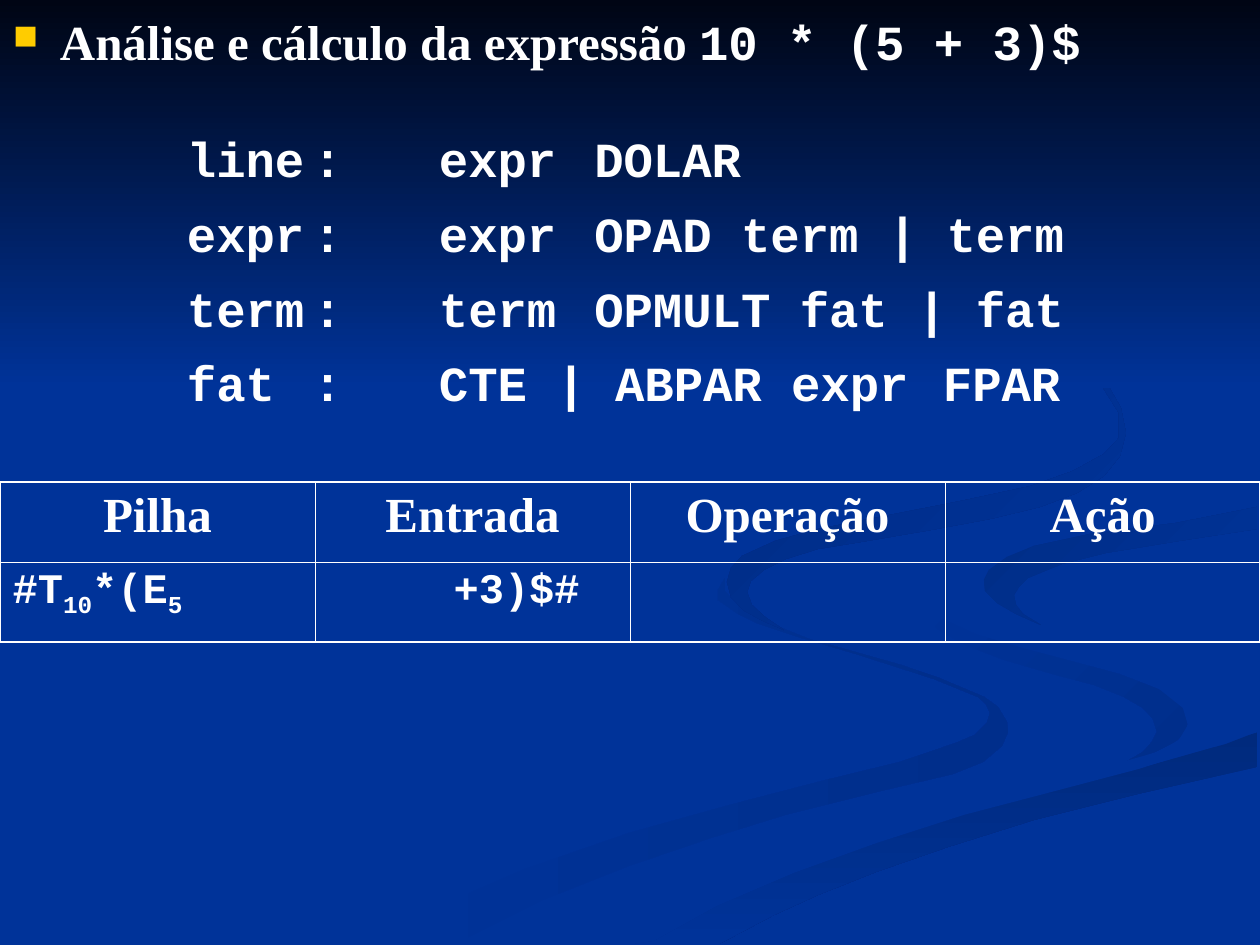
from lxml import etree
from pptx import Presentation
from pptx.dml.color import RGBColor
from pptx.enum.shapes import MSO_SHAPE as Preset
from pptx.enum.text import PP_ALIGN as Align
from pptx.oxml.ns import qn
from pptx.util import Pt

SCALE = 914400 / 126
WIDTH, HEIGHT = 1260, 945
BLUE, WHITE, YELLOW = "003399", "FFFFFF", "FFCC00"
SERIF, MONO = "Times New Roman", "Courier New"
THICK, THIN = 1.08, 0.45

LONG_RIBBON = [
    (984, 697), (939, 678), (901, 665), (809, 639), (774, 625), (748, 611), (734, 601),
    (725, 591), (725, 578), (718, 590), (718, 600), (738, 614), (759, 624), (795, 636),
    (856, 654), (934, 679), (978, 697), (986, 704), (990, 713), (987, 723), (975, 735),
    (956, 743), (900, 762), (822, 781), (730, 805), (629, 833), (525, 869), (474, 891),
    (426, 916), (378, 944), (455, 944), (543, 900), (629, 866), (711, 838), (785, 815),
    (881, 791), (953, 774), (983, 762), (1002, 746), (1008, 732), (1007, 722), (998, 707)]
RIGHT_RIBBON = [
    (1188, 718), (1183, 708), (1172, 697), (1158, 689), (1119, 674), (1022, 648),
    (975, 634), (939, 617), (924, 609), (916, 597), (912, 585), (916, 604), (924, 615),
    (939, 630), (965, 645), (1004, 660), (1056, 675), (1094, 685), (1124, 697),
    (1143, 708), (1153, 719), (1157, 732), (1152, 742), (1143, 752), (1126, 762),
    (1155, 752), (1175, 742), (1186, 732)]
BOTTOM_RIBBON = [
    (654, 941), (634, 944), (719, 944), (774, 915), (818, 895), (876, 872), (948, 847),
    (1034, 820), (1138, 794), (1257, 767), (1257, 732), (1226, 744), (1138, 769),
    (1047, 793), (963, 815), (877, 843), (794, 873), (717, 906)]
PLAIN_RIBBON = [
    (913, 585), (921, 603), (939, 617), (976, 634), (1023, 648), (1120, 673), (1159, 689),
    (1183, 708), (1188, 725), (1179, 740), (1158, 752), (1062, 779), (983, 799),
    (887, 825), (780, 862), (663, 912), (601, 944), (634, 944), (654, 941), (717, 906),
    (794, 873), (877, 843), (964, 815), (1048, 793), (1139, 769), (1230, 740),
    (1259, 732), (1259, 678), (1208, 669), (1139, 654), (1091, 641), (1048, 627),
    (1013, 611), (990, 596), (984, 583), (990, 571), (1008, 557), (1036, 547),
    (1090, 534), (1176, 523), (1259, 507), (1259, 488), (1212, 498), (1046, 518),
    (970, 532), (935, 553), (919, 566)]
EDGE_RIBBON = [
    (984, 580), (985, 591), (997, 603), (1016, 614), (1041, 625), (1023, 614),
    (1016, 605), (1014, 595), (1019, 587), (1028, 578), (1062, 564), (1106, 553),
    (1179, 541), (1257, 529), (1257, 507), (1176, 523), (1090, 534), (1034, 546),
    (1007, 557), (989, 570)]
TOP_RIBBON = [
    (861, 542), (931, 530), (990, 519), (1040, 507), (1077, 493), (1104, 476),
    (1120, 456), (1126, 433), (1121, 408), (1109, 387), (1089, 367), (1062, 347),
    (1007, 315), (960, 294), (1014, 320), (1066, 351), (1102, 386), (1119, 413),
    (1119, 438), (1104, 454), (1073, 471), (1031, 486), (961, 501), (818, 529),
    (775, 541), (742, 556), (731, 568), (727, 582), (731, 597), (743, 610), (761, 620),
    (784, 630), (765, 617), (752, 605), (747, 592), (751, 581), (764, 570), (786, 559),
    (818, 549)]

# Outline, start colour, end colour, clockwise angle
RIBBONS = [
    (LONG_RIBBON, BLUE, "002E8B", 0),
    (RIGHT_RIBBON, BLUE, "002E8B", 45),
    (BOTTOM_RIBBON, "002A7D", BLUE, 90),
    (PLAIN_RIBBON, BLUE, BLUE, 0),
    (EDGE_RIBBON, "002D86", BLUE, 45),
    (TOP_RIBBON, "002B82", BLUE, 45),
]
GRAMMAR = [
    "line\t:\texpr\t DOLAR",
    "expr\t:\texpr\t OPAD term | term",
    "term\t:\tterm\t OPMULT fat | fat",
    "fat\t:\tCTE | ABPAR expr\tFPAR",
]
HEADERS = ["Pilha", "Entrada", "Operação", "Ação"]
STACK = [("#T", False), ("10", True), ("*(E", False), ("5", True)]


def px(length):
    return round(length * SCALE)


def color(value):
    return RGBColor.from_string(value)


def style(font, name, size=28):
    font.name, font.size, font.bold = name, Pt(size), True
    font.color.rgb = color(WHITE)


def paint(shape, start, end, angle):
    """Fill without outline; the angle runs clockwise."""
    shape.shadow.inherit = False
    shape.line.fill.background()
    if start == end:
        shape.fill.solid()
        shape.fill.fore_color.rgb = color(start)
        return
    shape.fill.gradient()
    shape.fill.gradient_angle = (360 - angle) % 360
    for stop, value in zip(shape.fill.gradient_stops, (start, end)):
        stop.color.rgb = color(value)


def add_background(slide):
    slide.background.fill.solid()
    slide.background.fill.fore_color.rgb = color(BLUE)
    for points, start, end, angle in RIBBONS:
        builder = slide.shapes.build_freeform(*points[0], scale=SCALE)
        builder.add_line_segments(points[1:], close=True)
        paint(builder.convert_to_shape(), start, end, angle)
    band = slide.shapes.add_shape(Preset.RECTANGLE, 0, 0, px(WIDTH), px(388))
    paint(band, "000514", BLUE, 90)


def add_text_frame(slide, left, top, width, height):
    box = slide.shapes.add_textbox(px(left), px(top), px(width), px(height))
    frame = box.text_frame
    frame.word_wrap = True
    frame.margin_left = frame.margin_right = frame.margin_top = frame.margin_bottom = 0
    return frame


def add_heading(slide):
    paragraph = add_text_frame(slide, 13, 12, 1234, 60).paragraphs[0]
    properties = paragraph._p.get_or_add_pPr()
    properties.set("marL", str(px(47)))
    properties.set("indent", str(-px(47)))
    bullet_color = etree.SubElement(properties, qn("a:buClr"))
    etree.SubElement(bullet_color, qn("a:srgbClr"), val=YELLOW)
    etree.SubElement(properties, qn("a:buSzPct"), val="70000")
    etree.SubElement(properties, qn("a:buChar"), char="■")
    for text, name in (("Análise e cálculo da expressão ", SERIF), ("10 * (5 + 3)$", MONO)):
        run = paragraph.add_run()
        run.text = text
        style(run.font, name)


def add_grammar(slide):
    frame = add_text_frame(slide, 187, 129, 1060, 285)
    for index, rule in enumerate(GRAMMAR):
        paragraph = frame.add_paragraph() if index else frame.paragraphs[0]
        paragraph.text = rule
        tabs = etree.SubElement(paragraph._p.get_or_add_pPr(), qn("a:tabLst"))
        for stop in range(1, 8):
            etree.SubElement(tabs, qn("a:tab"), pos=str(px(126 * stop)), algn="l")
        if index:
            paragraph.space_before = Pt(9)
        style(paragraph.font, MONO)


def set_borders(cell, **widths):
    """Draw white borders; the keys are L, R, T and B, the widths points."""
    properties = cell._tc.get_or_add_tcPr()
    for position, side in enumerate("LRTB"):
        line = etree.Element(qn(f"a:ln{side}"), w=str(Pt(widths[side])))
        fill = etree.SubElement(line, qn("a:solidFill"))
        etree.SubElement(fill, qn("a:srgbClr"), val=WHITE)
        properties.insert(position, line)


def add_parse_table(slide):
    rows, columns = 2, len(HEADERS)
    frame = slide.shapes.add_table(rows, columns, 0, px(482), px(WIDTH), px(160))
    table = frame.table
    table.first_row = table.horz_banding = False
    for row in range(rows):
        for column in range(columns):
            cell = table.cell(row, column)
            cell.fill.background()
            set_borders(cell,
                        L=THIN if column else THICK,
                        R=THICK if column == columns - 1 else THIN,
                        T=THIN if row else THICK,
                        B=THICK if row == rows - 1 else THIN)
    for column, header in enumerate(HEADERS):
        paragraph = table.cell(0, column).text_frame.paragraphs[0]
        paragraph.text = header
        paragraph.alignment = Align.CENTER
        style(paragraph.font, SERIF)

    stack = table.cell(1, 0).text_frame.paragraphs[0]
    for text, subscript in STACK:
        run = stack.add_run()
        run.text = text
        if subscript:
            run.font._element.set("baseline", "-25000")
    style(stack.font, MONO, 24)
    remaining = table.cell(1, 1).text_frame.paragraphs[0]
    remaining.text = "+3)$#"
    remaining._p.get_or_add_pPr().set("marL", str(px(126)))
    style(remaining.font, MONO, 24)


def main():
    presentation = Presentation()
    presentation.slide_width, presentation.slide_height = px(WIDTH), px(HEIGHT)
    slide = presentation.slides.add_slide(presentation.slide_layouts[6])
    add_background(slide)
    add_parse_table(slide)
    add_heading(slide)
    add_grammar(slide)
    presentation.save("out.pptx")


if __name__ == "__main__":
    main()
